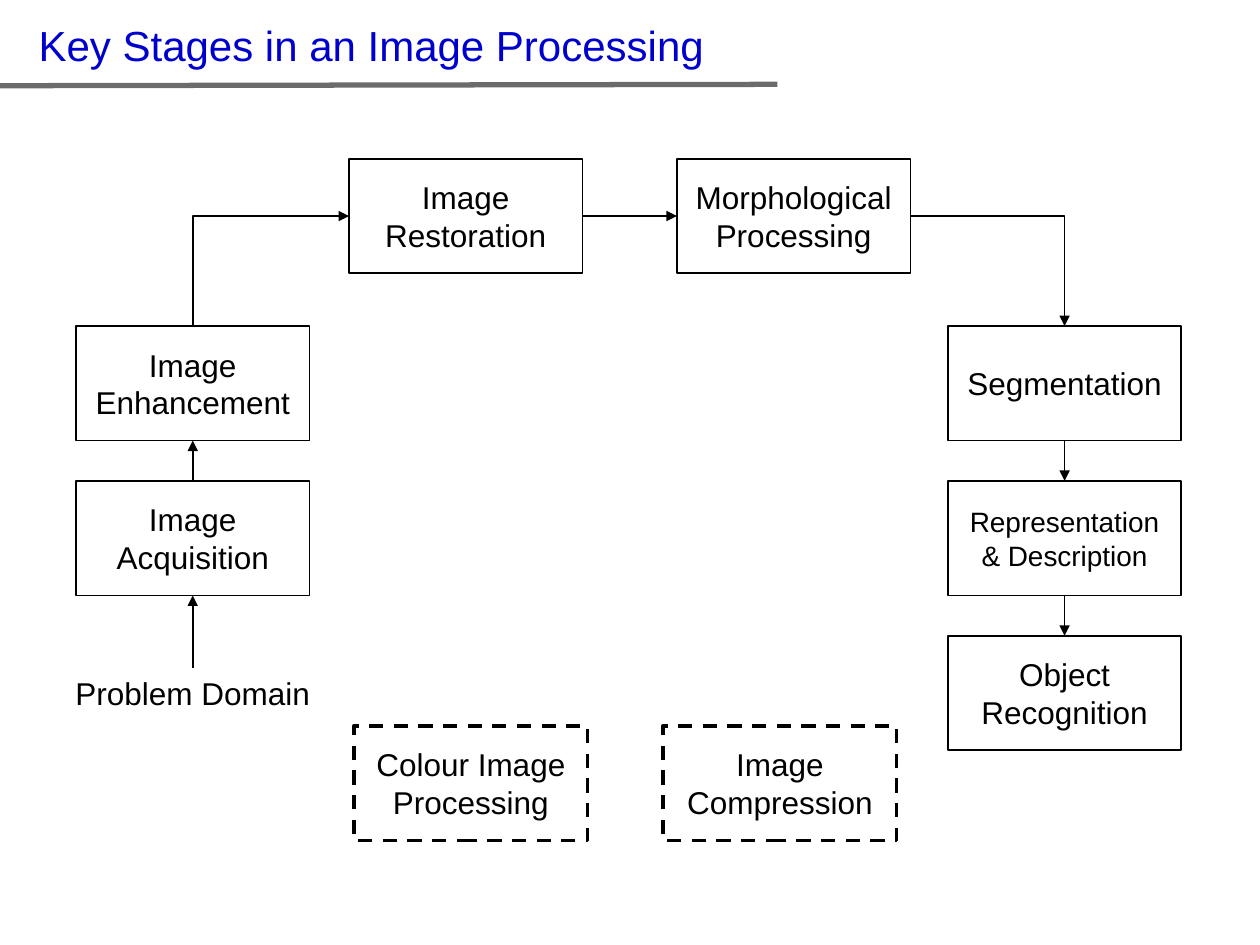
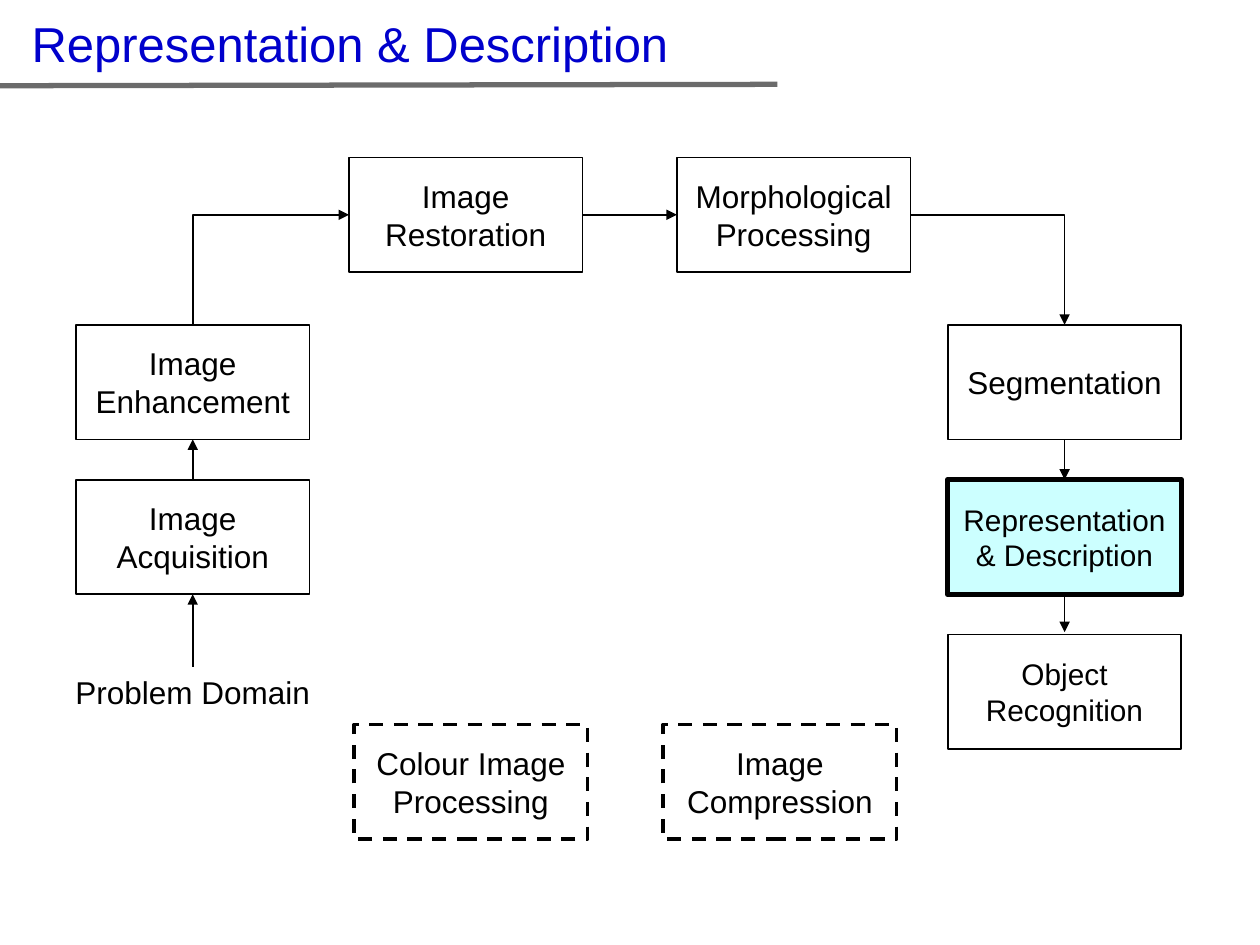
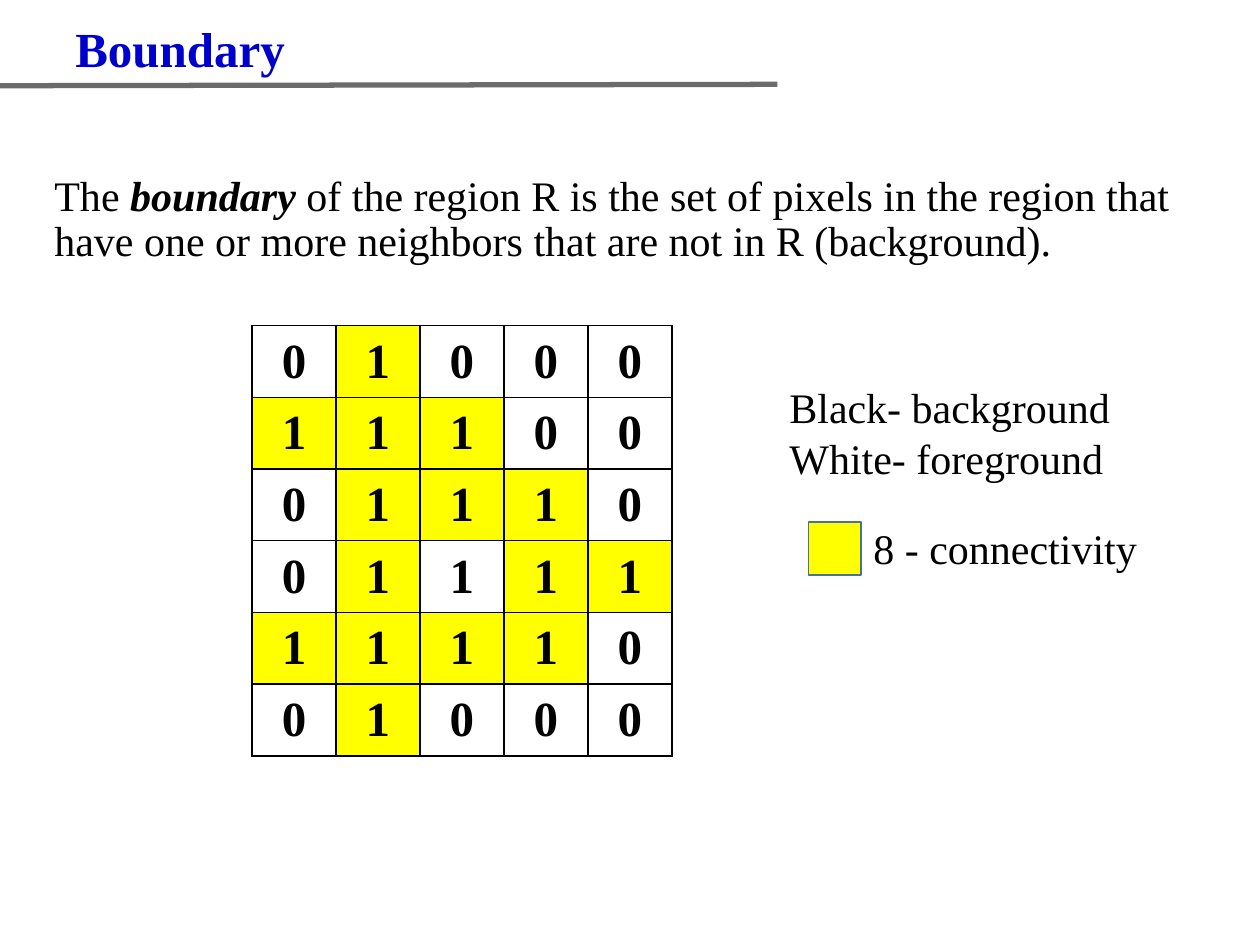
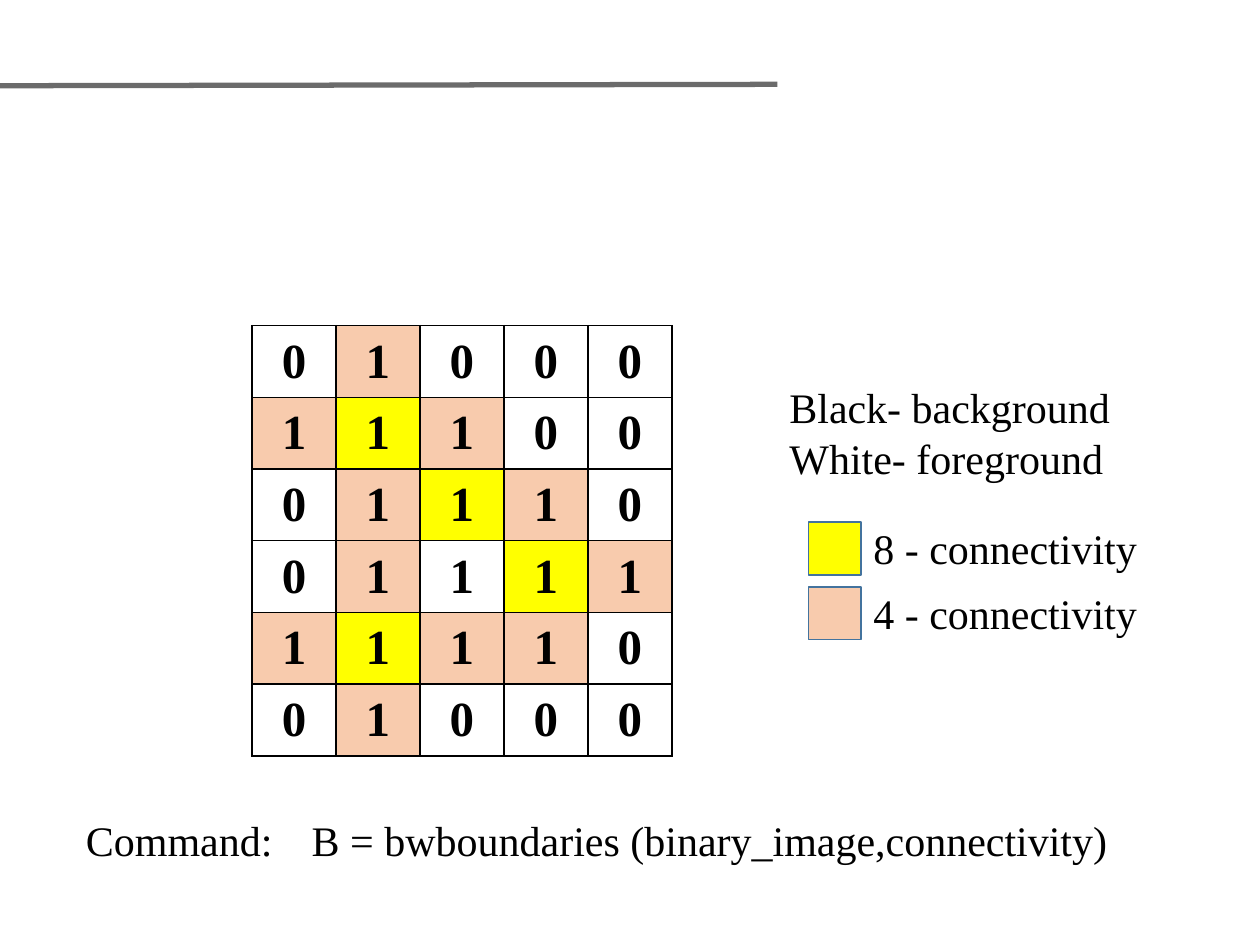
"""Build four slides on the stages of image processing and region boundaries."""
from lxml.etree import SubElement
from pptx import Presentation
from pptx.dml.color import RGBColor
from pptx.enum.dml import MSO_LINE_DASH_STYLE as Dash
from pptx.enum.shapes import MSO_CONNECTOR as Connector, MSO_SHAPE as Shape
from pptx.enum.text import MSO_ANCHOR as Anchor, PP_ALIGN as Align
from pptx.oxml.ns import qn
from pptx.util import Pt

rgb = RGBColor.from_string
BLACK, WHITE, TITLE_BLUE, RULE_GRAY = "000000", "FFFFFF", "0000CC", "6B6B6B"
YELLOW, PEACH, CYAN, SWATCH_EDGE = "FFFF00", "F8CBAD", "CCFFFF", "43739E"
SANS, SERIF = "Arial", "Times New Roman"


def add_box(page, left, top, width, height, fill, edge, weight):
    box = page.shapes.add_shape(Shape.RECTANGLE, Pt(left), Pt(top), Pt(width), Pt(height))
    box.shadow.inherit = False
    box.fill.solid()
    box.fill.fore_color.rgb = rgb(fill)
    box.line.color.rgb = rgb(edge)
    box.line.width = Pt(weight)
    return box


def write(frame, text, size, font, color=BLACK, bold=False, align=Align.LEFT, wrap=True):
    frame.word_wrap = wrap
    frame.text = text
    for paragraph in frame.paragraphs:
        paragraph.alignment = align
        paragraph.font.size = Pt(size)
        paragraph.font.name = font
        paragraph.font.bold = bold
        paragraph.font.color.rgb = rgb(color)


deck = Presentation()
deck.slide_width, deck.slide_height = Pt(720), Pt(540)

titles = [
    ("Key Stages in an Image Processing", 15, 7.5, 690, 24, SANS, False),
    ("Representation & Description", 11, 4.3, 383, 28, SANS, False),
    ("Boundary", 36, 6.8, 282, 28, SERIF, True),
    None,
]
pages = []
for title in titles:
    page = deck.slides.add_slide(deck.slide_layouts[6])
    pages.append(page)
    rule = page.shapes.add_connector(Connector.STRAIGHT, Pt(-1.4), Pt(49), Pt(444.2), Pt(48.2))
    rule.line.color.rgb = rgb(RULE_GRAY)
    rule.line.width = Pt(3)
    SubElement(rule._element.spPr, qn("a:effectLst"))
    if title:
        text, left, top, width, size, font, bold = title
        box = page.shapes.add_textbox(Pt(left), Pt(top), Pt(width), Pt(size * 1.2 + 7.2))
        write(box.text_frame, text, size, font, TITLE_BLUE, bold)

STAGE_W, STAGE_H, ROW_STEP = 133.5, 65.5, 88.5
LEFT, RESTORE, MORPH, RIGHT = 43.4, 199.4, 386.8, 541.6
LEFT_MID, RIGHT_MID = LEFT + STAGE_W / 2, RIGHT + STAGE_W / 2

for page, top, highlight, small_sizes, last_gap in [
    (pages[0], 90.7, False, (16, 18), 0),
    (pages[1], 90, True, (17, 17), 1.4),
]:
    rows = [top + 95.6 + ROW_STEP * index for index in range(3)]
    extras_top = top + 324
    stages = [
        ("Image Acquisition", LEFT, rows[1], 18),
        ("Image Restoration", RESTORE, top, 18),
        ("Morphological Processing", MORPH, top, 18),
        ("Segmentation", RIGHT, rows[0], 18),
        ("Object Recognition", RIGHT, rows[2], small_sizes[1]),
        ("Image Enhancement", LEFT, rows[0], 18),
        ("Representation & Description", RIGHT, rows[1], small_sizes[0]),
        ("Colour Image Processing", 202.3, extras_top, 18),
        ("Image Compression", 378.9, extras_top, 18),
    ]
    for text, left, stage_top, size in stages:
        current = highlight and text == "Representation & Description"
        dashed = stage_top == extras_top
        weight = 3 if current else 2 if dashed else 1
        fill = CYAN if current else WHITE
        stage = add_box(page, left, stage_top, STAGE_W, STAGE_H, fill, BLACK, weight)
        if dashed:
            stage.line.dash_style = Dash.DASH
        stage.text_frame.vertical_anchor = Anchor.MIDDLE
        write(stage.text_frame, text, size, SANS, align=Align.CENTER)

    domain_top = top + 291
    domain = page.shapes.add_textbox(Pt(36), Pt(domain_top), Pt(148.3), Pt(29))
    write(domain.text_frame, "Problem Domain", 18, SANS, wrap=False)

    middle = top + STAGE_H / 2
    rise, run = rows[0] - middle, RESTORE - LEFT_MID
    turn_x, turn_y = LEFT_MID + run / 2, middle + rise / 2
    arrows = [
        (LEFT_MID, domain_top, LEFT_MID, rows[1] + STAGE_H, None),
        (LEFT_MID, rows[1], LEFT_MID, rows[0] + STAGE_H, None),
        (RIGHT_MID, rows[1] + STAGE_H, RIGHT_MID, rows[2] - last_gap, None),
        (RIGHT_MID, rows[0] + STAGE_H, RIGHT_MID, rows[1], None),
        (RESTORE + STAGE_W, middle, MORPH, middle, None),
        (MORPH + STAGE_W, middle, RIGHT_MID, rows[0], 0),
        (turn_x - rise / 2, turn_y - run / 2, turn_x + rise / 2, turn_y + run / 2, 270),
    ]
    for x1, y1, x2, y2, rotation in arrows:
        kind = Connector.STRAIGHT if rotation is None else Connector.ELBOW
        arrow = page.shapes.add_connector(kind, Pt(x1), Pt(y1), Pt(x2), Pt(y2))
        arrow.line.color.rgb = rgb(BLACK)
        arrow.line.width = Pt(1)
        properties = arrow._element.spPr
        SubElement(arrow.line._get_or_add_ln(), qn("a:tailEnd"), type="triangle")
        SubElement(properties, qn("a:effectLst"))
        if rotation is not None:
            properties.find(qn("a:prstGeom")).set("prst", "bentConnector2")
            properties.find(qn("a:xfrm")).set("rot", str(rotation * 60000))

pixels = ["04000", "48400", "04840", "04184", "48440", "04000"]
for page, fills in [
    (pages[2], {"8": YELLOW, "4": YELLOW}),
    (pages[3], {"8": YELLOW, "4": PEACH}),
]:
    grid = page.shapes.add_table(6, 5, Pt(144), Pt(186), Pt(240), Pt(246)).table
    grid.first_row = grid.horz_banding = False
    for row, marks in zip(grid.rows, pixels):
        for cell, mark in zip(row.cells, marks):
            cell.vertical_anchor = Anchor.MIDDLE
            digit = "0" if mark == "0" else "1"
            write(cell.text_frame, digit, 28, SERIF, bold=True, align=Align.CENTER)
            for side in ("lnL", "lnR", "lnT", "lnB"):
                border = SubElement(cell._tc.get_or_add_tcPr(), qn(f"a:{side}"), w=str(Pt(1)))
                SubElement(SubElement(border, qn("a:solidFill")), qn("a:srgbClr"), val=BLACK)
            if mark in fills:
                cell.fill.solid()
                cell.fill.fore_color.rgb = rgb(fills[mark])
            else:
                cell.fill.background()

    key = page.shapes.add_textbox(Pt(444), Pt(214.6), Pt(228), Pt(94))
    write(key.text_frame, "Black- background\nWhite- foreground", 24, SERIF)

    legend = [("8 - connectivity", YELLOW), ("4 - connectivity", PEACH)]
    for index, (text, fill) in enumerate(legend):
        if fill in fills.values():
            swatch_top = 298.5 + 37 * index
            add_box(page, 462, swatch_top, 30, 30, fill, SWATCH_EDGE, 1)
            label = page.shapes.add_textbox(Pt(492), Pt(swatch_top - 3.5), Pt(186), Pt(36))
            write(label.text_frame, text, 24, SERIF)

definition = pages[2].shapes.add_textbox(Pt(24), Pt(96.5), Pt(684), Pt(60))
write(definition.text_frame, "The ", 24, SERIF)
paragraph = definition.text_frame.paragraphs[0]
paragraph.line_spacing = 0.9
term = paragraph.add_run()
term.text = "boundary "
term.font.bold = term.font.italic = True
rest = paragraph.add_run()
rest.text = (
    "of the region R is the set of pixels in the region that "
    "have one or more neighbors that are not in R (background)."
)

command = pages[3].shapes.add_textbox(Pt(42), Pt(462), Pt(630), Pt(36))
call = "Command:\tB = bwboundaries (binary_image,connectivity)"
write(command.text_frame, call, 24, SERIF)
settings = command.text_frame.paragraphs[0]._p.get_or_add_pPr()
tabs = SubElement(settings, qn("a:tabLst"))
SubElement(tabs, qn("a:tab"), pos=str(Pt(129)), algn="l")
settings.insert(0, tabs)

deck.save("out.pptx")
